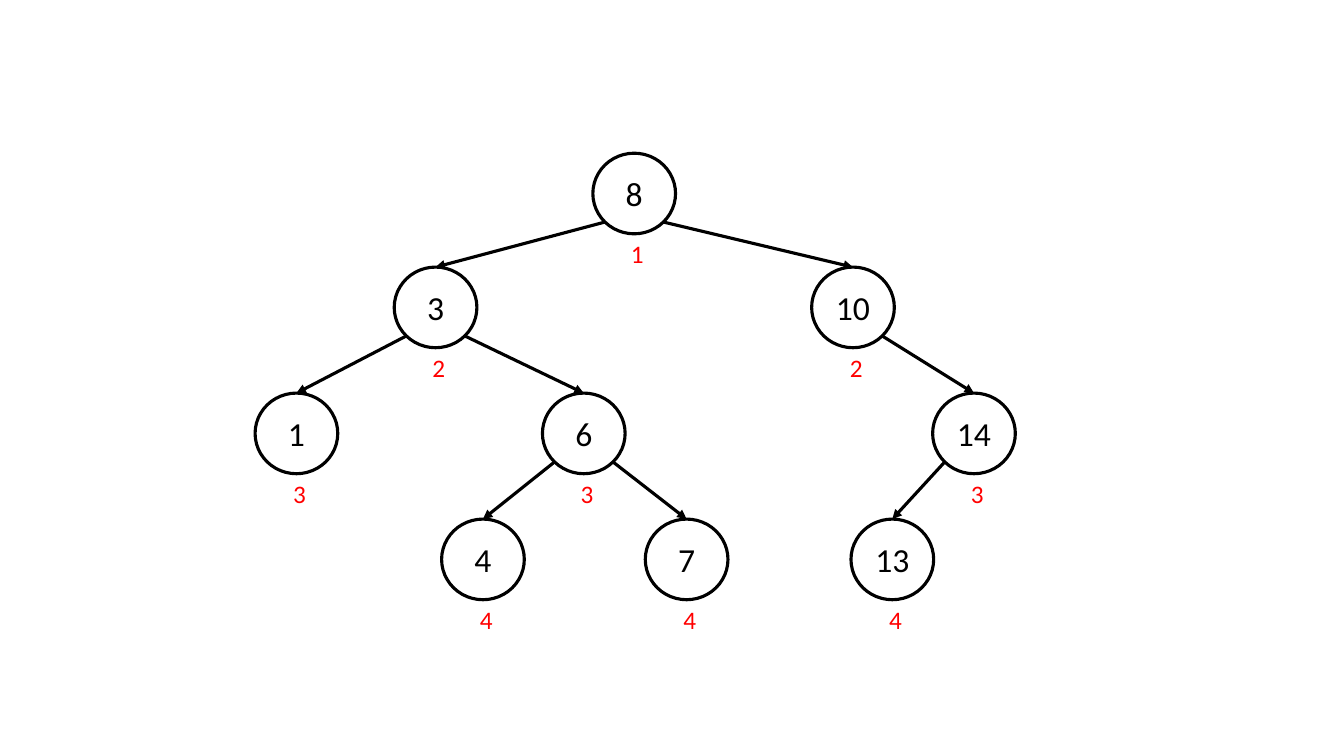
import pptx
import pptx.util
import pptx.dml.color
import pptx.enum.shapes
import pptx.enum.text
import pptx.oxml
import pptx.oxml.ns
import math

PX = 9144
NODE_WIDTH, NODE_HEIGHT = 82, 80
LEVEL_TOPS = {1: 152, 2: 265, 3: 390, 4: 515}
TREE = [
    ("8", 588, 1, None),
    ("3", 391, 2, "8"),
    ("10", 805, 2, "8"),
    ("1", 253, 3, "3"),
    ("6", 538, 3, "3"),
    ("14", 925, 3, "10"),
    ("13", 844, 4, "14"),
    ("4", 438, 4, "6"),
    ("7", 640, 4, "6"),
]


def color(hex_value):
    return pptx.dml.color.RGBColor.from_string(hex_value)


class TreeSlide:
    font_name = "Calibri"
    ink = "000000"
    depth_ink = "FF0000"
    line_width = 2.25

    def __init__(self, slide):
        self.slide = slide

    def set_text(self, frame, text, size, ink):
        paragraph = frame.paragraphs[0]
        paragraph.text = text
        paragraph.alignment = pptx.enum.text.PP_ALIGN.CENTER
        paragraph.font.name = self.font_name
        paragraph.font.size = pptx.util.Pt(size)
        paragraph.font.color.rgb = color(ink)

    def stroke(self, line):
        line.color.rgb = color(self.ink)
        line.width = pptx.util.Pt(self.line_width)

    def node(self, key, left, top):
        circle = self.slide.shapes.add_shape(
            pptx.enum.shapes.MSO_SHAPE.OVAL,
            left * PX, top * PX, NODE_WIDTH * PX, NODE_HEIGHT * PX)
        circle.shadow.inherit = False
        circle.fill.background()
        self.stroke(circle.line)
        circle.text_frame.vertical_anchor = pptx.enum.text.MSO_ANCHOR.MIDDLE
        self.set_text(circle.text_frame, key, 24, self.ink)
        return circle

    def edge(self, parent, child):
        side = 1 if child.left > parent.left else -1
        reach = math.sqrt(0.5)
        start_x = round(parent.left + parent.width / 2 * (1 + side * reach))
        start_y = round(parent.top + parent.height / 2 * (1 + reach))
        arrow = self.slide.shapes.add_connector(
            pptx.enum.shapes.MSO_CONNECTOR.STRAIGHT,
            start_x, start_y, child.left + child.width // 2, child.top)
        arrow.end_connect(child, 0)
        self.stroke(arrow.line)
        namespace = pptx.oxml.ns.nsdecls("a")
        properties = arrow._element.spPr
        properties.get_or_add_ln().append(
            pptx.oxml.parse_xml(f'<a:tailEnd {namespace} type="triangle"/>'))
        properties.append(pptx.oxml.parse_xml(f"<a:effectLst {namespace}/>"))

    def depth_label(self, depth, left, top):
        label = self.slide.shapes.add_textbox(
            left * PX, top * PX, 25 * PX, 40 * PX)
        label.text_frame.word_wrap = True
        label.text_frame.auto_size = pptx.enum.text.MSO_AUTO_SIZE.SHAPE_TO_FIT_TEXT
        self.set_text(label.text_frame, str(depth), 18, self.depth_ink)


def main():
    presentation = pptx.Presentation()
    presentation.slide_width = 1333 * PX
    presentation.slide_height = 750 * PX
    tree = TreeSlide(presentation.slides.add_slide(presentation.slide_layouts[6]))
    nodes = {}
    for key, left, depth, parent in TREE:
        nodes[key] = tree.node(key, left, LEVEL_TOPS[depth])
        if parent:
            tree.edge(nodes[parent], nodes[key])
    for key, left, depth, parent in TREE:
        tree.depth_label(depth, left + 28, LEVEL_TOPS[depth] + NODE_HEIGHT)
    presentation.save("out.pptx")


if __name__ == "__main__":
    main()
